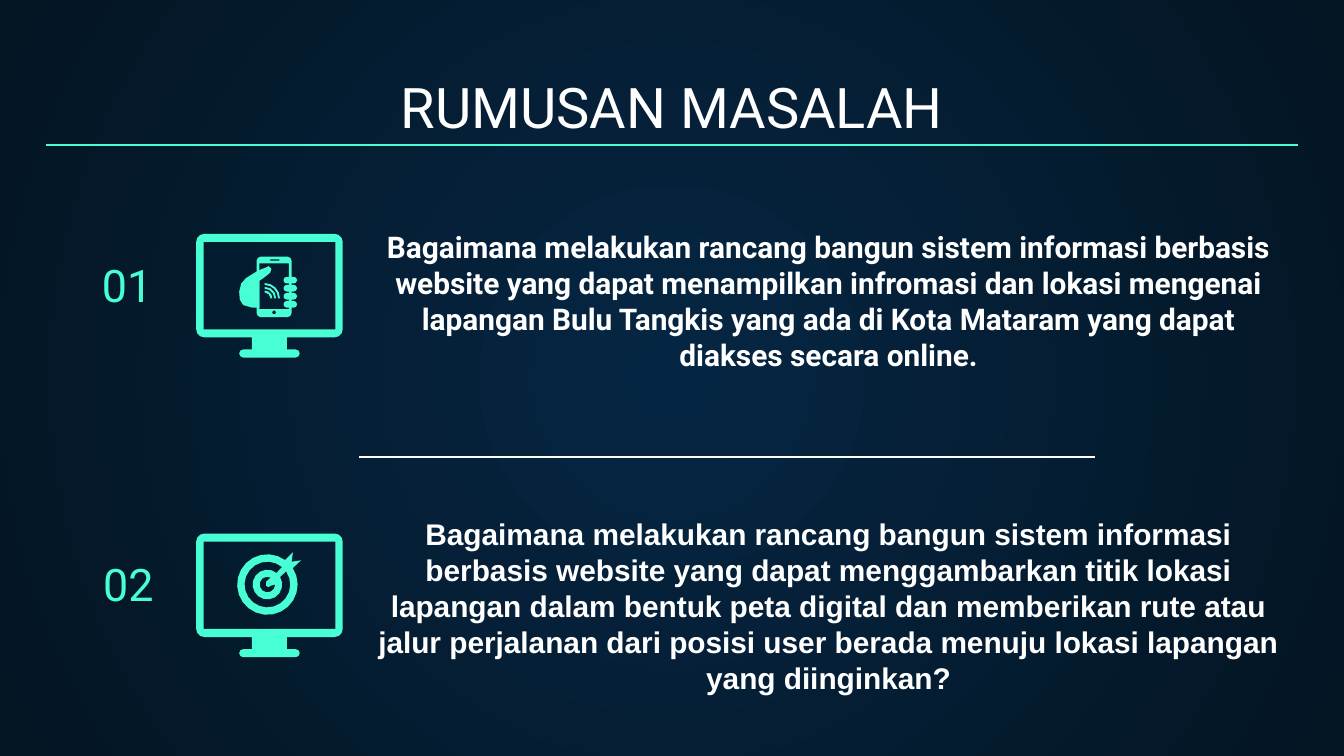
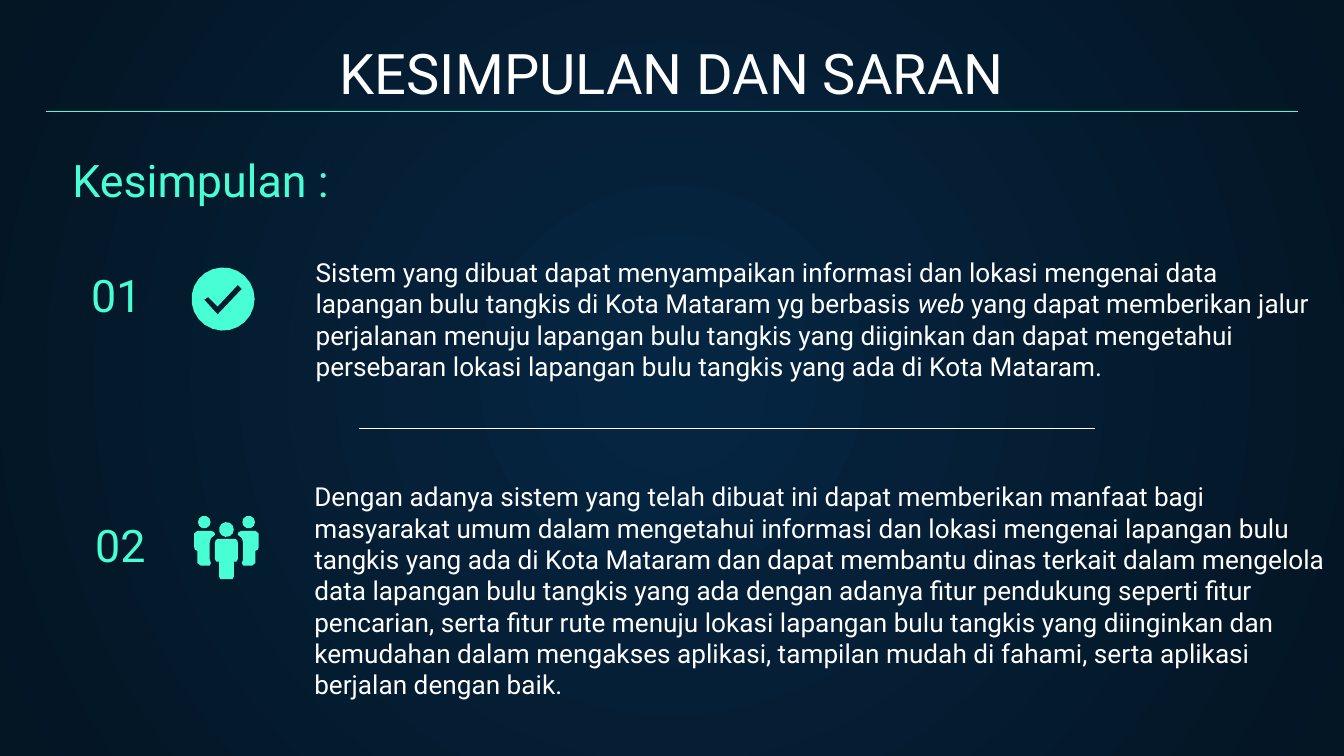
"""Build the problem statement and conclusion slides of a badminton court project."""
from dataclasses import dataclass
from math import cos, radians, sin, sqrt

from lxml.etree import SubElement
from pptx import Presentation
from pptx.dml.color import RGBColor
from pptx.enum.shapes import MSO_CONNECTOR
from pptx.enum.text import MSO_ANCHOR as Anchor, MSO_AUTO_SIZE as AutoSize, PP_ALIGN as Align
from pptx.oxml.ns import qn
from pptx.util import Emu, Inches, Pt

WIDTH, HEIGHT = Inches(10), Inches(5.625)
COLUMNS, ROWS = 100, 56.25
WHITE, MINT = "FFFFFF", "48FFD5"
GLOW, NIGHT = "052643", "041523"
MARGIN, RULE_END = 3.4, 96.6

Point = tuple[float, float]
Contour = list[Point]
Part = list[Contour]


@dataclass(frozen=True)
class Style:
    size: float
    color: str = WHITE
    font: str = "Roboto"
    bold: bool = False
    align: Align = Align.LEFT
    anchor: Anchor = Anchor.BOTTOM
    inset: float = 1
    autosize: AutoSize = AutoSize.NONE


@dataclass(frozen=True)
class Label:
    column: float
    row: float
    columns: float
    rows: float
    text: str
    style: Style
    italic: str = ""


@dataclass(frozen=True)
class Rule:
    start: float
    end: float
    row: float
    color: str


TITLE = Style(30, align=Align.CENTER)
ACCENT = Style(24, MINT)
BODY = Style(14)
QUESTION = Style(16, bold=True, align=Align.CENTER)
QUESTION_ARIAL = Style(16, font="Arial", bold=True, align=Align.CENTER,
                       anchor=Anchor.TOP, inset=0.5, autosize=AutoSize.SHAPE_TO_FIT_TEXT)


def across(columns: float) -> Emu:
    """Turn grid columns into a length."""
    return Emu(round(WIDTH * columns / COLUMNS))


def down(rows: float) -> Emu:
    """Turn grid rows into a length."""
    return Emu(round(HEIGHT * rows / ROWS))


def rgb(color: str) -> RGBColor:
    """Turn a hex string into a colour."""
    return RGBColor.from_string(color)


def arc(x: float, y: float, radius: float, start: float = 0, end: float = 360) -> Contour:
    """Return points along an arc, angles growing clockwise, more for a larger radius."""
    steps = max(2, round(abs(end - start) * sqrt(radius) / 24))
    angles = [radians(start + (end - start) * step / steps) for step in range(steps + 1)]
    return [(x + radius * cos(angle), y + radius * sin(angle)) for angle in angles]


def block(left: float, top: float, right: float, bottom: float) -> Contour:
    """Return the outline of a rectangle."""
    return [(left, top), (right, top), (right, bottom), (left, bottom)]


def rounded(left: float, top: float, right: float, bottom: float, radius: float) -> Contour:
    """Return the outline of a rounded rectangle."""
    centers = block(left + radius, top + radius, right - radius, bottom - radius)
    return [point for corner, (x, y) in enumerate(centers)
            for point in arc(x, y, radius, 90 * corner + 180, 90 * corner + 270)]


def band(x: float, y: float, outer: float, inner: float, start: float, end: float) -> Contour:
    """Return the outline of an open ring."""
    return arc(x, y, outer, start, end) + arc(x, y, inner, end, start)


def monitor(left: float, top: float) -> list[Part]:
    """Return a desktop screen on its stand."""
    return [[
        rounded(left, top, left + 10.9, top + 7.7, 0.6),
        block(left + 0.55, top + 0.6, left + 10.35, top + 7.1),
        block(left + 4.15, top + 7.7, left + 6.75, top + 8.6),
        rounded(left + 3.2, top + 8.6, left + 7.7, top + 9.2, 0.3),
    ]]


def phone_in_hand() -> list[Part]:
    """Return a phone held by a hand."""
    phone = [rounded(19.1, 19.1, 21.7, 23.6, 0.3), block(19.3, 19.6, 21.5, 23),
             block(20.1, 19.3, 20.8, 19.4), arc(20.4, 23.25, 0.15)]
    hand = [[(19.1, 20.2), (18.3, 20.7), (17.95, 21.1), (17.8, 21.7), (17.85, 22.3),
             (18.1, 22.7), (18.8, 22.9), (19.3, 22.9), (19.3, 20.9), (19.6, 20.7),
             (20.1, 20.3), (20.2, 20), (20, 19.8), (19.8, 19.9), (19.3, 20.1)]]
    fingers = [rounded(21.1, 20.6 + 0.6 * finger, 22.1, 21.1 + 0.6 * finger, 0.24)
               for finger in range(4)]
    signal = [band(19.7, 22.2, radius, radius - 0.14, -90, 0) for radius in (0.57, 0.85, 1.13)]
    return [phone, hand, fingers + signal]


def target() -> list[Part]:
    """Return a target struck by an arrow."""
    x, y = 19.9, 43.5
    return [[
        arc(x, y, 2.25, -33, 306) + [(21.8, 41.1), (21.7, 41.8), (22.4, 41.7)],
        arc(x, y, 1.7, -35, 310) + arc(x, y, 1.1, 308, -31),
        arc(x, y, 0.58, 0, 295) + [(19.8, 43.3), (19.8, 43.6), (20, 43.7), (20.1, 43.6)],
    ]]


def check_mark() -> list[Part]:
    """Return a disc with a tick cut out."""
    tick = [(17.7, 21.2), (18, 21.5), (16.2, 23.4), (15.2, 22.3), (15.5, 22.1), (16.2, 22.8)]
    return [[arc(16.6, 22.25, 2.35), tick]]


def people() -> list[Part]:
    """Return a group of three people."""
    middle = 16.85
    head = arc(15.2, 38.85, 0.47)
    torso = [(14.7, 39.5), (15.7, 39.5), (15.95, 39.6), (16, 39.8), (15.7, 40.05),
             (15.6, 40.4), (15.6, 41.6), (15.7, 41.9), (15.6, 42.1), (14.95, 42.1),
             (14.7, 41.9), (14.7, 41), (14.5, 40.9), (14.45, 40.7), (14.45, 39.7)]
    left = [head, torso]
    right = [[(2 * middle - x, y) for x, y in contour] for contour in left]
    half = [(17.5, 40.1), (17.65, 40.2), (17.7, 40.4), (17.7, 41.6), (17.6, 41.8),
            (17.4, 41.8), (17.4, 42.9), (17.3, 43.1)]
    front = half + [(2 * middle - x, y) for x, y in reversed(half)]
    return [[contour] for contour in [*left, *right, front, arc(middle, 39.4, 0.55)]]


def add_icon(page, parts: list[Part]) -> None:
    """Draw each part of an icon as a filled outline."""
    for part in parts:
        outlines = [[(across(x), down(y)) for x, y in contour] for contour in part]
        builder = page.shapes.build_freeform(*outlines[0][0], scale=1.0)
        builder.add_line_segments(outlines[0][1:], close=True)
        for outline in outlines[1:]:
            builder.move_to(*outline[0])
            builder.add_line_segments(outline[1:], close=True)
        shape = builder.convert_to_shape()
        shape.shadow.inherit = False
        shape.fill.solid()
        shape.fill.fore_color.rgb = rgb(MINT)
        shape.line.fill.background()


def add_label(page, label: Label) -> None:
    """Write one text box, with one phrase in italics if named."""
    style = label.style
    box = page.shapes.add_textbox(across(label.column), down(label.row),
                                  across(label.columns), down(label.rows))
    frame = box.text_frame
    frame.word_wrap = True
    frame.auto_size = style.autosize
    frame.vertical_anchor = style.anchor
    frame.margin_left = frame.margin_right = across(1)
    frame.margin_top = frame.margin_bottom = down(style.inset)
    para = frame.paragraphs[0]
    para.alignment = style.align
    pieces = label.text.partition(label.italic) if label.italic else (label.text,)
    for piece in pieces:
        span = para.add_run()
        span.text = piece
        span.font.name = style.font
        span.font.size = Pt(style.size)
        span.font.bold = style.bold
        span.font.italic = piece == label.italic
        span.font.color.rgb = rgb(style.color)


def add_rule(page, rule: Rule) -> None:
    """Draw a thin horizontal line."""
    line = page.shapes.add_connector(MSO_CONNECTOR.STRAIGHT, across(rule.start), down(rule.row),
                                     across(rule.end), down(rule.row))
    line.line.color.rgb = rgb(rule.color)
    line.line.width = Pt(0.75)
    SubElement(line.element.spPr, qn("a:effectLst"))


def paint_background(page) -> None:
    """Fill the page with a glow from its centre."""
    fill = page.background.fill
    fill.gradient()
    for stop, color in zip(fill.gradient_stops, (GLOW, NIGHT)):
        stop.color.rgb = rgb(color)
    gradient = page.element.find(".//" + qn("a:gradFill"))
    linear = gradient.find(qn("a:lin"))
    circle = linear.makeelement(qn("a:path"), {"path": "circle"})
    gradient.replace(linear, circle)
    SubElement(circle, qn("a:fillToRect"), {side: "50000" for side in "ltrb"})


def add_page(deck, title: str, title_row: float, divider_row: float,
             labels: list[Label], icons: list[list[Part]]) -> None:
    """Add a titled page with its two rules, labels and icons."""
    page = deck.slides.add_slide(deck.slide_layouts[6])
    paint_background(page)
    add_label(page, Label(MARGIN, title_row, RULE_END - MARGIN, 6.6, title, TITLE))
    add_rule(page, Rule(MARGIN, RULE_END, title_row + 6, MINT))
    add_rule(page, Rule(26.7, 81.5, divider_row, WHITE))
    for icon in icons:
        add_icon(page, icon)
    for label in labels:
        add_label(page, label)


def main() -> None:
    """Build and save the deck."""
    deck = Presentation()
    deck.slide_width, deck.slide_height = WIDTH, HEIGHT
    add_page(deck, "RUMUSAN MASALAH", 4.8, 34, [
        Label(6.6, 17.6, 7.6, 6.6, "01", ACCENT),
        Label(6.7, 39.8, 7.6, 6.6, "02", ACCENT),
        Label(26.7, 17.4, 69.9, 11.3,
              "Bagaimana melakukan rancang bangun sistem informasi berbasis website yang dapat "
              "menampilkan infromasi dan lokasi mengenai lapangan Bulu Tangkis yang ada di Kota "
              "Mataram yang dapat diakses secara online.", QUESTION),
        Label(26.7, 37.9, 69.9, 14.5,
              "Bagaimana melakukan rancang bangun sistem informasi berbasis website yang dapat "
              "menggambarkan titik lokasi lapangan dalam bentuk peta digital dan memberikan rute "
              "atau jalur perjalanan dari posisi user berada menuju lokasi lapangan yang "
              "diinginkan?", QUESTION_ARIAL),
    ], [monitor(14.6, 17.4), phone_in_hand(), monitor(14.6, 39.7), target()])
    add_page(deck, "KESIMPULAN DAN SARAN", 2.3, 31.9, [
        Label(4.4, 9.8, 28, 6.6, "Kesimpulan :", ACCENT),
        Label(5.8, 18.3, 12.9, 6.6, "01", ACCENT),
        Label(6.1, 36.9, 12.9, 6.6, "02", ACCENT),
        Label(22.5, 16.5, 77.5, 12.9,
              "Sistem yang dibuat dapat menyampaikan informasi dan lokasi mengenai data lapangan "
              "bulu tangkis di Kota Mataram yg berbasis web yang dapat memberikan jalur "
              "perjalanan menuju lapangan bulu tangkis yang diiginkan dan dapat mengetahui "
              "persebaran lokasi lapangan bulu tangkis yang ada di Kota Mataram.", BODY, "web"),
        Label(22.4, 34.8, 77.5, 18.3,
              "Dengan adanya sistem yang telah dibuat ini dapat memberikan manfaat bagi "
              "masyarakat umum dalam mengetahui informasi dan lokasi mengenai lapangan bulu "
              "tangkis yang ada di Kota Mataram dan dapat membantu dinas terkait dalam mengelola "
              "data lapangan bulu tangkis yang ada dengan adanya fitur pendukung seperti fitur "
              "pencarian, serta fitur rute menuju lokasi lapangan bulu tangkis yang diinginkan "
              "dan kemudahan dalam mengakses aplikasi, tampilan mudah di fahami, serta aplikasi "
              "berjalan dengan baik.", BODY),
    ], [check_mark(), people()])
    deck.save("out.pptx")


if __name__ == "__main__":
    main()
